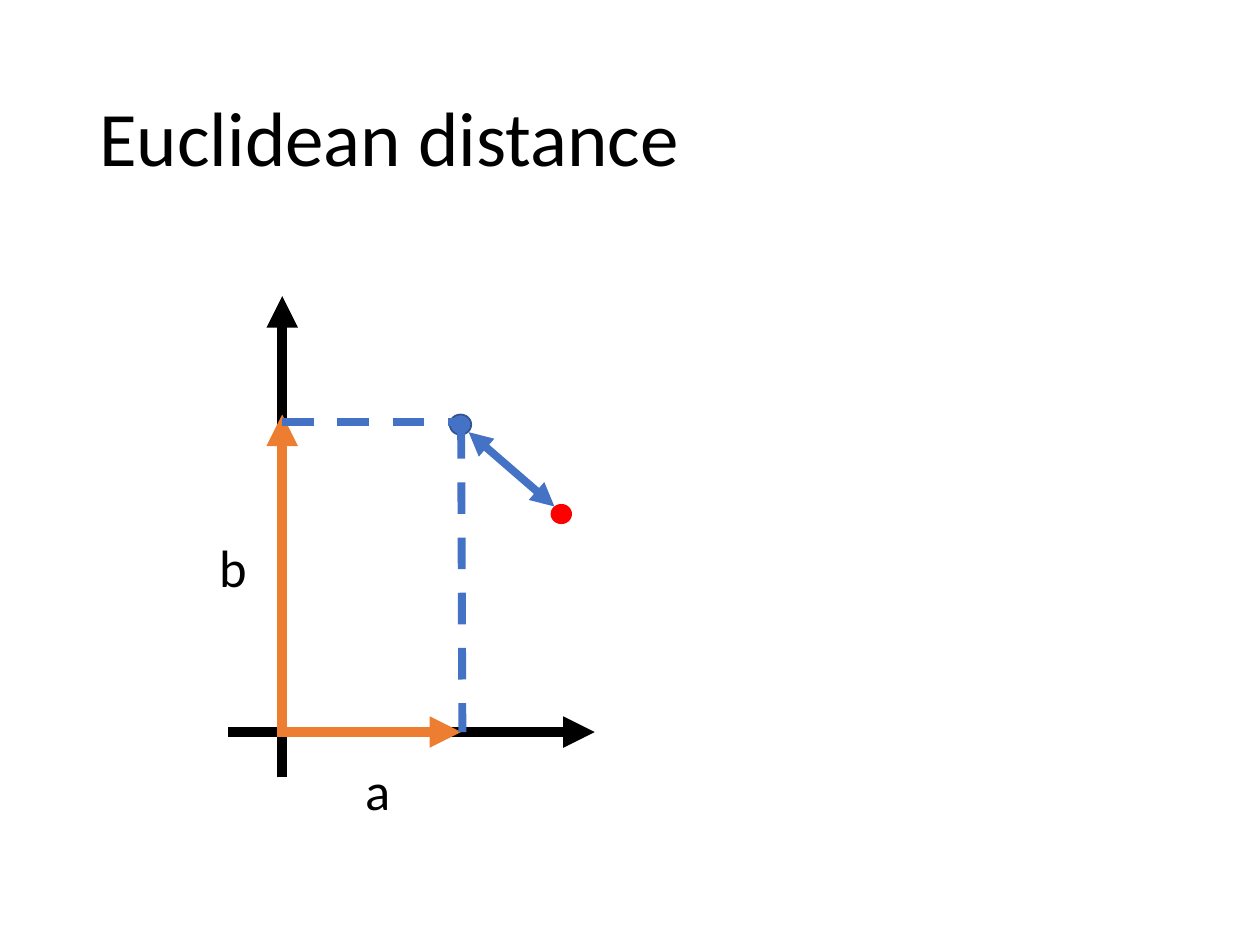
from dataclasses import dataclass

from lxml.etree import SubElement
from pptx import Presentation
from pptx.dml.color import RGBColor
from pptx.enum.dml import MSO_LINE
from pptx.enum.shapes import MSO_CONNECTOR, MSO_SHAPE
from pptx.enum.text import MSO_ANCHOR, MSO_AUTO_SIZE
from pptx.oxml.ns import qn
from pptx.util import Inches, Pt


@dataclass(frozen=True)
class Theme:
    font: str = "Calibri"
    ink: str = "000000"
    blue: str = "4472C4"
    blue_edge: str = "325491"
    orange: str = "ED7D31"
    red: str = "FF0000"
    title_size: float = 44
    label_size: float = 30
    axis_width: float = 6
    guide_width: float = 4.5
    edge_width: float = 1


class DiagramPage:
    COLUMNS, ROWS = 100, 75

    def __init__(self, deck, theme):
        self.theme = theme
        self.page = deck.slides.add_slide(deck.slide_layouts[6])
        self.column = deck.slide_width / self.COLUMNS
        self.row = deck.slide_height / self.ROWS

    def place(self, *lengths):
        units = (self.column, self.row) * 2
        return [round(length * unit) for length, unit in zip(lengths, units)]

    def text(self, words, area, size):
        box = self.page.shapes.add_textbox(*self.place(*area))
        frame = box.text_frame
        frame.text = words
        font = frame.paragraphs[0].runs[0].font
        font.name = self.theme.font
        font.size = Pt(size)
        font.color.rgb = RGBColor.from_string(self.theme.ink)
        return frame

    def title(self, words, area):
        frame = self.text(words, area, self.theme.title_size)
        frame.word_wrap = True
        frame.vertical_anchor = MSO_ANCHOR.MIDDLE
        frame.paragraphs[0].line_spacing = 0.9

    def label(self, words, area):
        frame = self.text(words, area, self.theme.label_size)
        frame.word_wrap = False
        frame.auto_size = MSO_AUTO_SIZE.SHAPE_TO_FIT_TEXT

    def dot(self, left, top, color, edge=None):
        area = self.place(left, top, 1.7, 1.6)
        shape = self.page.shapes.add_shape(MSO_SHAPE.OVAL, *area)
        shape.shadow.inherit = False
        shape.fill.solid()
        shape.fill.fore_color.rgb = RGBColor.from_string(color)
        if edge:
            shape.line.color.rgb = RGBColor.from_string(edge)
            shape.line.width = Pt(self.theme.edge_width)
        else:
            shape.line.fill.background()

    def line(self, start, end, color, width, dashed=False, arrows=()):
        connector = self.page.shapes.add_connector(
            MSO_CONNECTOR.STRAIGHT, *self.place(*start, *end))
        connector.line.color.rgb = RGBColor.from_string(color)
        connector.line.width = Pt(width)
        if dashed:
            connector.line.dash_style = MSO_LINE.DASH
        properties = connector.element.spPr
        outline = properties.find(qn("a:ln"))
        for arrow in arrows:
            SubElement(outline, qn(f"a:{arrow}"), type="triangle")
        SubElement(properties, qn("a:effectLst"))

    def arrow(self, start, end, color):
        self.line(start, end, color, self.theme.axis_width, arrows=("tailEnd",))

    def guide(self, start, end):
        self.line(start, end, self.theme.blue, self.theme.guide_width, dashed=True)

    def distance(self, start, end):
        self.line(start, end, self.theme.blue, self.theme.guide_width,
                  arrows=("headEnd", "tailEnd"))


def main():
    deck = Presentation()
    deck.slide_width, deck.slide_height = Inches(10), Inches(7.5)
    theme = Theme()
    diagram = DiagramPage(deck, theme)
    origin_x, origin_y = 22.4, 58.1
    point_x = 36.6

    diagram.title("Euclidean distance", (6.9, 4, 86.2, 14.5))
    diagram.dot(35.7, 32.9, theme.blue, theme.blue_edge)
    diagram.arrow((18.1, origin_y), (47.2, origin_y), theme.ink)
    diagram.arrow((origin_x, 61.7), (origin_x, 23.5), theme.ink)
    diagram.arrow((origin_x, origin_y), (point_x, origin_y), theme.orange)
    diagram.arrow((origin_x, 58.5), (origin_x, 32.9), theme.orange)
    diagram.guide((point_x, 33.9), (36.7, origin_y))
    diagram.guide((origin_x, 33.5), (point_x, 33.5))
    diagram.label("a", (28, 59.7, 4, 6.1))
    diagram.label("b", (16.4, 42, 4.2, 6.1))
    diagram.dot(43.7, 40, theme.red)
    diagram.distance((37.2, 34.3), (44, 40.2))
    deck.save("out.pptx")


if __name__ == "__main__":
    main()
